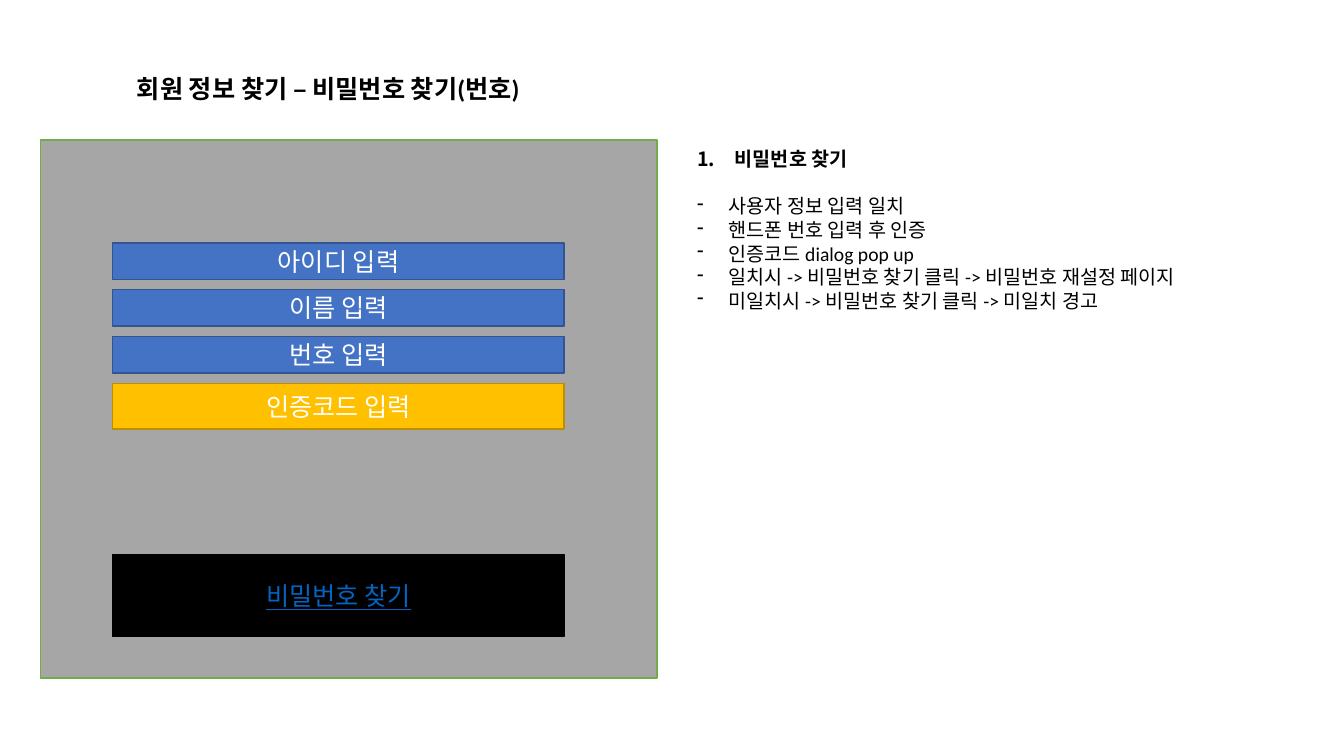
import pptx
import pptx.util
import pptx.dml.color
import pptx.enum.shapes
import pptx.enum.text
from lxml import etree

Cm, Pt = pptx.util.Cm, pptx.util.Pt
RGB = pptx.dml.color.RGBColor.from_string
HUES = {
    "panel": "A6A6A6", "green": "70AD47", "black": "000000", "white": "FFFFFF",
    "blue": "4472C4", "navy": "325491", "gold": "FFC000", "ochre": "BD8E00",
    "link": "0563C1",
}

deck = pptx.Presentation()
deck.slide_width, deck.slide_height = Cm(33.87), Cm(19.05)
slide = deck.slides.add_slide(deck.slide_layouts[6])


def style(para, size, hue, bold=False):
    for run in para.runs:
        font = run.font
        font.name, font.size, font.bold = "Calibri", Pt(size), bold
        font.color.rgb = RGB(HUES[hue])


def add_box(left, top, width, height, fill, line, text="", hue="white"):
    """Add a bordered rectangle with centred text."""
    box = slide.shapes.add_shape(
        pptx.enum.shapes.MSO_SHAPE.RECTANGLE, Cm(left), Cm(top), Cm(width), Cm(height))
    box.shadow.inherit = False
    box.fill.solid()
    box.fill.fore_color.rgb = RGB(HUES[fill])
    box.line.color.rgb = RGB(HUES[line])
    box.line.width = Pt(1)
    frame = box.text_frame
    frame.text = text
    frame.vertical_anchor = pptx.enum.text.MSO_ANCHOR.MIDDLE
    frame.paragraphs[0].alignment = pptx.enum.text.PP_ALIGN.CENTER
    style(frame.paragraphs[0], 18, hue)
    return box


# Login panel with its input fields and button
add_box(1.02, 3.53, 15.54, 13.56, "panel", "green")
left, width, first, pitch = 2.84, 11.38, 6.12, 1.18
fields = [
    ("아이디 입력", 0.92, "blue", "navy"),
    ("이름 입력", 0.92, "blue", "navy"),
    ("번호 입력", 0.92, "blue", "navy"),
    ("인증코드 입력", 1.15, "gold", "ochre"),
]
for row, (text, height, fill, line) in enumerate(fields):
    add_box(left, first + row * pitch, width, height, fill, line, text)
button = add_box(left, 13.97, width, 2.07, "black", "black", "비밀번호 찾기", "link")
button.text_frame.paragraphs[0].runs[0].font.underline = True

# Title
title = slide.shapes.add_textbox(Cm(3.2), Cm(1.73), Cm(13.74), Cm(1.02)).text_frame
title.word_wrap = True
title.text = "회원 정보 찾기 – 비밀번호 찾기(번호)"
style(title.paragraphs[0], 18, "black", True)

# Notes beside the panel
notes = slide.shapes.add_textbox(Cm(17.32), Cm(3.58), Cm(14.66), Cm(4.45)).text_frame
notes.word_wrap = True
notes.text = "\n".join([
    "비밀번호 찾기",
    "사용자 정보 입력 일치",
    "핸드폰 번호 입력 후 인증",
    "인증코드 dialog pop up",
    "일치시 -> 비밀번호 찾기 클릭 -> 비밀번호 재설정 페이지",
    "미일치시 -> 비밀번호 찾기 클릭 -> 미일치 경고",
])
for row, para in enumerate(notes.paragraphs):
    head = row == 0
    indent = Cm(0.95 if head else 0.79)
    props = para._p.get_or_add_pPr()
    props.set("marL", str(indent))
    props.set("indent", str(-indent))
    tag, key, value = ("buAutoNum", "type", "arabicPeriod") if head else ("buChar", "char", "-")
    bullet = etree.SubElement(props, pptx.oxml.ns.qn("a:" + tag))
    bullet.set(key, value)
    style(para, 14, "black", head)
notes.paragraphs[1].space_before = Pt(17)

deck.save("out.pptx")
